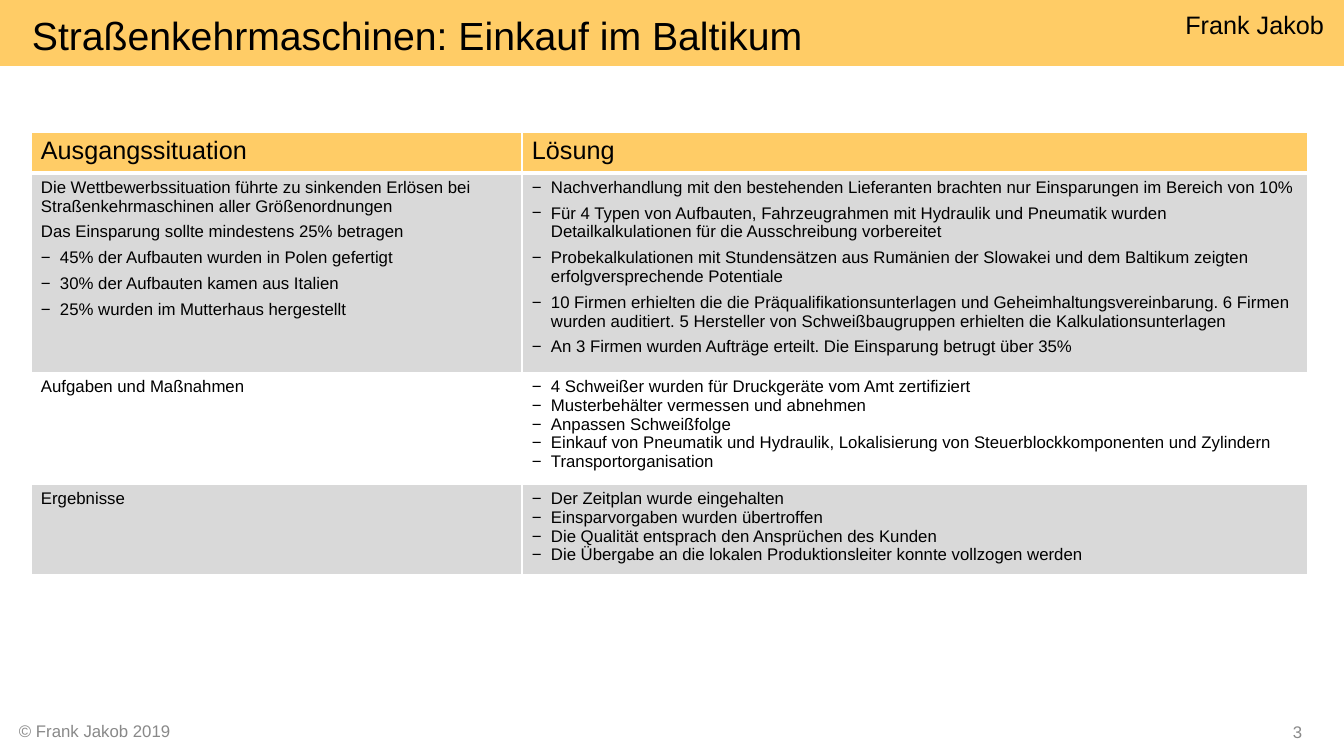
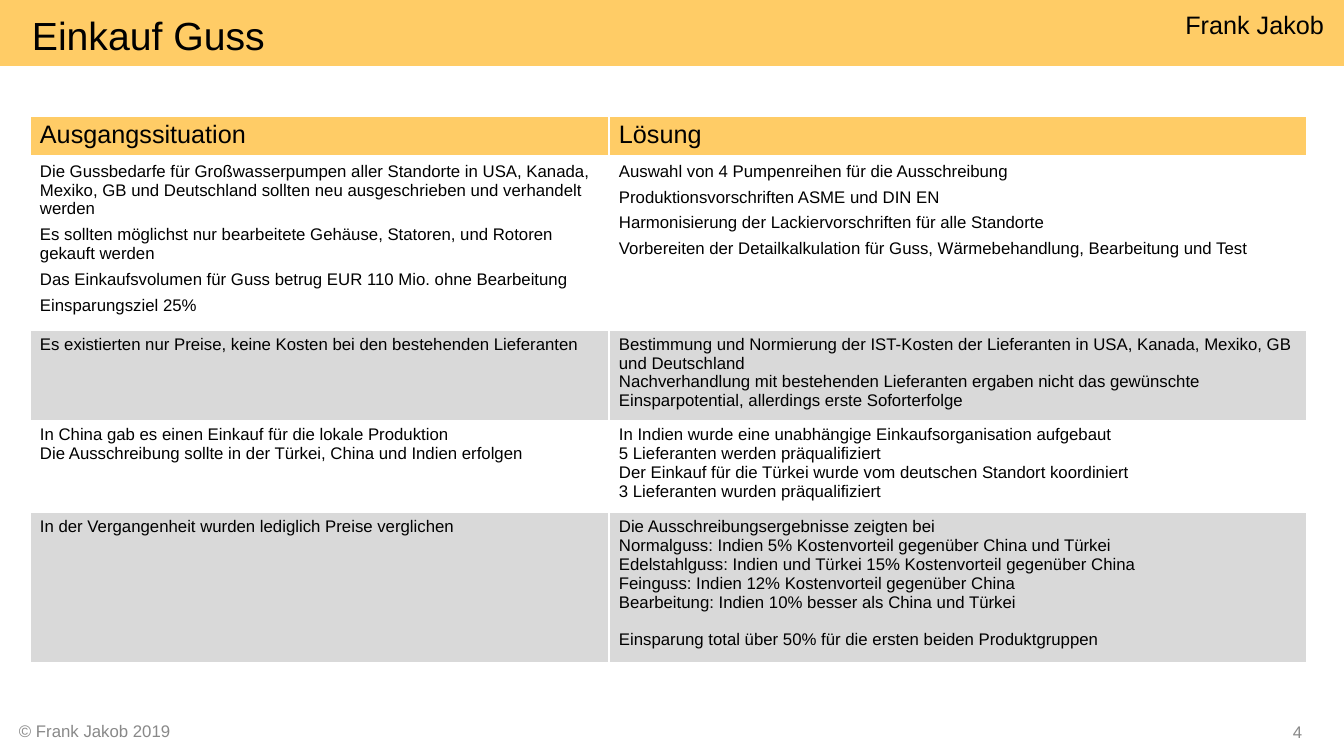
import dataclasses

import lxml.etree
import pptx
import pptx.dml.color
import pptx.enum.shapes
import pptx.enum.text
import pptx.oxml.ns
import pptx.util

RGBColor = pptx.dml.color.RGBColor
Pt = pptx.util.Pt
Align = pptx.enum.text.PP_ALIGN
Anchor = pptx.enum.text.MSO_ANCHOR

AMBER = RGBColor(0xFF, 0xCC, 0x66)
GREY = RGBColor(0xD9, 0xD9, 0xD9)
FOOTER_GREY = RGBColor(0x89, 0x89, 0x89)
WHITE = RGBColor(0xFF, 0xFF, 0xFF)
BLACK = RGBColor(0x00, 0x00, 0x00)

FONT = "Arial"
EMU_PER_PX = 914400 / 100.8
PAGE_WIDTH, PAGE_HEIGHT = 1344, 756
HEADER_ROW = 41
BULLET_INDENT = 19
CELL_INSETS = (10, 5, 10, 5)
HEADINGS = ("Ausgangssituation", "Lösung")


@dataclasses.dataclass
class Line:
    text: str
    bullet: bool = False
    before: float = 0


@dataclasses.dataclass
class Row:
    height: int
    left: list
    right: list
    shaded: bool = False
    spaced: bool = False


def px(length):
    return pptx.util.Emu(round(length * EMU_PER_PX))


def plain(*texts):
    return [Line(text) for text in texts]


def bullets(*texts):
    return [Line(text, bullet=True) for text in texts]


def style_text(para, size, color):
    for span in para.runs:
        span.font.name = FONT
        span.font.size = Pt(size)
        span.font.color.rgb = color


def write_box(shape, text, size, color=BLACK, align=Align.LEFT,
              anchor=Anchor.TOP, insets=CELL_INSETS):
    frame = shape.text_frame
    frame.word_wrap = True
    frame.vertical_anchor = anchor
    (frame.margin_left, frame.margin_top,
     frame.margin_right, frame.margin_bottom) = map(px, insets)
    frame.text = text
    para = frame.paragraphs[0]
    para.alignment = align
    style_text(para, size, color)


def add_text(page, box, text, size, **options):
    write_box(page.shapes.add_textbox(*map(px, box)), text, size, **options)


def add_child(parent, tag, **attributes):
    return lxml.etree.SubElement(parent, pptx.oxml.ns.qn(tag), attributes)


def add_bullet(para):
    properties = para._p.get_or_add_pPr()
    properties.set("marL", str(px(BULLET_INDENT)))
    properties.set("indent", str(-px(BULLET_INDENT)))
    add_child(properties, "a:buFont", typeface=FONT)
    add_child(properties, "a:buChar", char="−")


def style_cell(cell, fill, bottom_width=1):
    properties = cell._tc.get_or_add_tcPr()
    # Borders come before the fill
    for side in "LRTB":
        width = bottom_width if side == "B" else 1
        line = add_child(properties, "a:ln" + side, w=str(Pt(width)))
        add_child(add_child(line, "a:solidFill"), "a:srgbClr", val=str(WHITE))
    cell.fill.solid()
    cell.fill.fore_color.rgb = fill
    (cell.margin_left, cell.margin_top,
     cell.margin_right, cell.margin_bottom) = map(px, CELL_INSETS)


def write_cell(cell, lines, size, spaced=False):
    frame = cell.text_frame
    frame.text = "\n".join(line.text for line in lines)
    for para, line in zip(frame.paragraphs, lines):
        if line.bullet:
            add_bullet(para)
        para.space_before = Pt(2 if spaced else line.before)
        para.space_after = Pt(3 if spaced else 0)
        style_text(para, size, BLACK)


def add_frame(page, title, number):
    # Band with the author's name
    band = page.shapes.add_shape(pptx.enum.shapes.MSO_SHAPE.RECTANGLE,
                                 *map(px, (0, -3, PAGE_WIDTH, 69)))
    band.shadow.inherit = False
    band.fill.solid()
    band.fill.fore_color.rgb = AMBER
    band.line.fill.background()
    write_box(band, "Frank Jakob", 18, align=Align.RIGHT, insets=(0, 12, 20, 0))
    # Title
    add_text(page, (32, 0, 1100, 69), title, 28,
             anchor=Anchor.MIDDLE, insets=(0, 0, 0, 0))
    # Footer
    add_text(page, (9, 716, 200, 30), "© Frank Jakob 2019", 12, color=FOOTER_GREY)
    add_text(page, (1283, 717, 53, 30), str(number), 12, color=FOOTER_GREY)


def add_comparison(page, left, top, widths, rows):
    heights = [HEADER_ROW] + [row.height for row in rows]
    table = page.shapes.add_table(
        len(heights), len(widths), px(left), px(top),
        px(sum(widths)), px(sum(heights))).table
    table.horz_banding = False
    for column, width in zip(table.columns, widths):
        column.width = px(width)
    for table_row, height in zip(table.rows, heights):
        table_row.height = px(height)
    # Header row
    for index, heading in enumerate(HEADINGS):
        cell = table.cell(0, index)
        style_cell(cell, AMBER, bottom_width=3)
        write_cell(cell, plain(heading), 18)
    # Body rows
    for row_index, row in enumerate(rows, start=1):
        for index, lines in enumerate((row.left, row.right)):
            cell = table.cell(row_index, index)
            style_cell(cell, GREY if row.shaded else WHITE)
            write_cell(cell, lines, 12, row.spaced)


SWEEPER_ROWS = [
    Row(199,
        plain("Die Wettbewerbssituation führte zu sinkenden Erlösen bei "
              "Straßenkehrmaschinen aller Größenordnungen",
              "Das Einsparung sollte mindestens 25% betragen")
        + bullets("45% der Aufbauten wurden in Polen gefertigt",
                  "30% der Aufbauten kamen aus Italien",
                  "25% wurden im Mutterhaus hergestellt"),
        bullets("Nachverhandlung mit den bestehenden Lieferanten brachten nur "
                "Einsparungen im Bereich von 10%",
                "Für 4 Typen von Aufbauten, Fahrzeugrahmen mit Hydraulik und "
                "Pneumatik wurden Detailkalkulationen für die Ausschreibung vorbereitet",
                "Probekalkulationen mit Stundensätzen aus Rumänien der Slowakei "
                "und dem Baltikum zeigten erfolgversprechende Potentiale",
                "10 Firmen erhielten die die Präqualifikationsunterlagen und "
                "Geheimhaltungsvereinbarung. 6 Firmen wurden auditiert. 5 Hersteller "
                "von Schweißbaugruppen erhielten die Kalkulationsunterlagen",
                "An 3 Firmen wurden Aufträge erteilt. Die Einsparung betrugt über 35%"),
        shaded=True, spaced=True),
    Row(112,
        plain("Aufgaben und Maßnahmen"),
        bullets("4 Schweißer wurden für Druckgeräte vom Amt zertifiziert",
                "Musterbehälter vermessen und abnehmen",
                "Anpassen Schweißfolge",
                "Einkauf von Pneumatik und Hydraulik, Lokalisierung von "
                "Steuerblockkomponenten und Zylindern",
                "Transportorganisation")),
    Row(89,
        plain("Ergebnisse"),
        bullets("Der Zeitplan wurde eingehalten",
                "Einsparvorgaben wurden übertroffen",
                "Die Qualität entsprach den Ansprüchen des Kunden",
                "Die Übergabe an die lokalen Produktionsleiter konnte vollzogen werden"),
        shaded=True),
]

CASTING_ROWS = [
    Row(173,
        plain("Die Gussbedarfe für Großwasserpumpen aller Standorte in USA, Kanada, "
              "Mexiko, GB und Deutschland sollten neu ausgeschrieben und verhandelt werden",
              "Es sollten möglichst nur bearbeitete Gehäuse, Statoren, und Rotoren "
              "gekauft werden",
              "Das Einkaufsvolumen für Guss betrug EUR 110 Mio. ohne Bearbeitung",
              "Einsparungsziel 25%"),
        plain("Auswahl von 4 Pumpenreihen für die Ausschreibung",
              "Produktionsvorschriften ASME und DIN EN",
              "Harmonisierung der Lackiervorschriften für alle Standorte",
              "Vorbereiten der Detailkalkulation für Guss, Wärmebehandlung, "
              "Bearbeitung und Test"),
        spaced=True),
    Row(89,
        plain("Es existierten nur Preise, keine Kosten bei den bestehenden Lieferanten"),
        plain("Bestimmung und Normierung der IST-Kosten der Lieferanten in USA, "
              "Kanada, Mexiko, GB und Deutschland",
              "Nachverhandlung mit bestehenden Lieferanten ergaben nicht das "
              "gewünschte Einsparpotential, allerdings erste Soforterfolge"),
        shaded=True),
    Row(92,
        plain("In China gab es einen Einkauf für die lokale Produktion",
              "Die Ausschreibung sollte in der Türkei, China und Indien erfolgen"),
        plain("In Indien wurde eine unabhängige Einkaufsorganisation aufgebaut",
              "5 Lieferanten werden präqualifiziert",
              "Der Einkauf für die Türkei wurde vom deutschen Standort koordiniert",
              "3 Lieferanten wurden präqualifiziert")),
    Row(150,
        plain("In der Vergangenheit wurden lediglich Preise verglichen"),
        plain("Die Ausschreibungsergebnisse zeigten bei",
              "Normalguss: Indien 5% Kostenvorteil gegenüber China und Türkei",
              "Edelstahlguss: Indien und Türkei 15% Kostenvorteil gegenüber China",
              "Feinguss: Indien 12% Kostenvorteil gegenüber China",
              "Bearbeitung: Indien 10% besser als China und Türkei")
        + [Line("Einsparung total über 50% für die ersten beiden Produktgruppen",
                before=13.4)],
        shaded=True),
]

# Title, page number, table left and top, column widths, rows
PAGES = [
    ("Straßenkehrmaschinen: Einkauf im Baltikum", 3, 31, 132, (491, 786), SWEEPER_ROWS),
    ("Einkauf Guss", 4, 30, 116, (579, 698), CASTING_ROWS),
]


def main():
    deck = pptx.Presentation()
    deck.slide_width, deck.slide_height = px(PAGE_WIDTH), px(PAGE_HEIGHT)
    for title, number, left, top, widths, rows in PAGES:
        page = deck.slides.add_slide(deck.slide_layouts[6])
        add_frame(page, title, number)
        add_comparison(page, left, top, widths, rows)
    deck.save("out.pptx")


if __name__ == "__main__":
    main()
